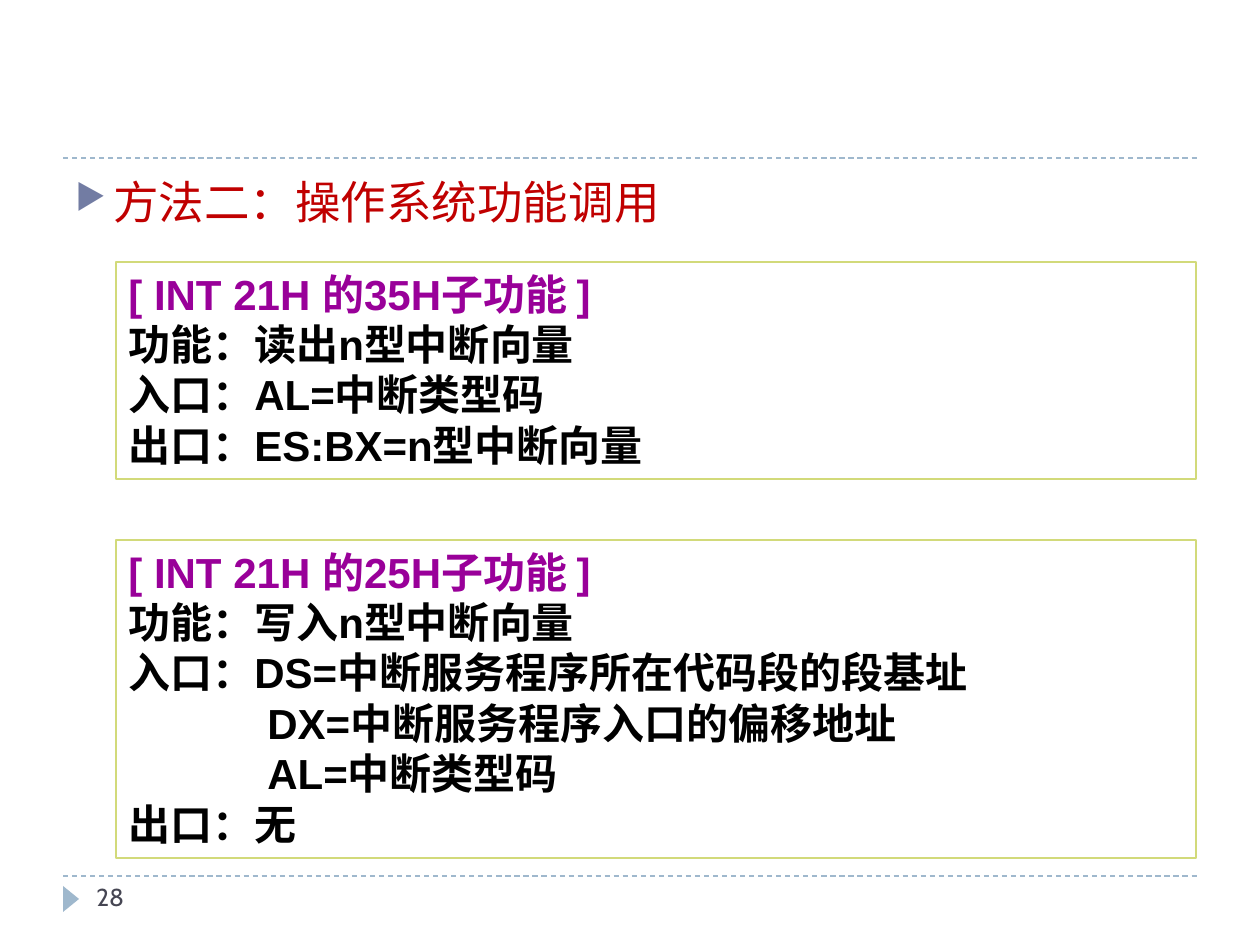
from typing import NamedTuple

from lxml import etree
from pptx import Presentation
from pptx import util as u
from pptx.dml.color import RGBColor
from pptx.enum import dml, shapes, text
from pptx.oxml.ns import qn

SCALE = u.Inches(1) / 126
COLORS = {
    "rule": "9FB8CD",
    "bullet": "727CA3",
    "topic": "C00000",
    "head": "990099",
    "body": "000000",
    "edge": "D2DA7A",
    "paper": "FFFFFF",
    "number": "464653",
}


class Panel(NamedTuple):
    top: int
    height: int
    head: str
    lines: list[tuple[str, int]]


PANELS = [
    Panel(262, 217, "[ INT 21H 的35H子功能 ]", [
        ("功能：读出n型中断向量", 0),
        ("入口：AL=中断类型码", 0),
        ("出口：ES:BX=n型中断向量", 0),
    ]),
    Panel(540, 318, "[ INT 21H 的25H子功能 ]", [
        ("功能：写入n型中断向量", 0),
        ("入口：DS=中断服务程序所在代码段的段基址", 0),
        ("DX=中断服务程序入口的偏移地址", 139),
        ("AL=中断类型码", 139),
        ("出口：无", 0),
    ]),
]
RULES = [158, 876]


def px(n: int) -> u.Emu:
    return u.Emu(round(n * SCALE))


def rgb(name: str) -> RGBColor:
    return RGBColor.from_string(COLORS[name])


def write(frame, line: str, *, size: int, font: str, color: str,
          bold: bool = False, indent: int = 0, first: bool = False):
    para = frame.paragraphs[0] if first else frame.add_paragraph()
    para.alignment = text.PP_ALIGN.LEFT
    if indent:
        para._p.get_or_add_pPr().set("marL", str(px(indent)))
    run = para.add_run()
    run.text = line
    run.font.size = u.Pt(size)
    run.font.name = font
    run.font.bold = bold
    run.font.color.rgb = rgb(color)
    return para


def add_mark(para, hang: int) -> None:
    props = para._p.get_or_add_pPr()
    props.set("indent", str(-px(hang)))
    tint = etree.SubElement(props, qn("a:buClr"))
    etree.SubElement(tint, qn("a:srgbClr"), val=COLORS["bullet"])
    etree.SubElement(props, qn("a:buSzPct"), val="76000")
    etree.SubElement(props, qn("a:buChar"), char="▶")


def add_box(slide, left: int, top: int, width: int, height: int):
    box = slide.shapes.add_textbox(px(left), px(top), px(width), px(height))
    box.text_frame.word_wrap = True
    return box.text_frame


def add_rule(slide, top: int) -> None:
    rule = slide.shapes.add_connector(
        shapes.MSO_CONNECTOR.STRAIGHT, px(63), px(top), px(1197), px(top))
    rule.line.color.rgb = rgb("rule")
    rule.line.width = u.Pt(0.75)
    rule.line.dash_style = dml.MSO_LINE.DASH
    etree.SubElement(rule._element.spPr, qn("a:effectLst"))


def add_panel(slide, panel: Panel) -> None:
    box = slide.shapes.add_shape(
        shapes.MSO_SHAPE.RECTANGLE, px(116), px(panel.top), px(1080), px(panel.height))
    box.shadow.inherit = False
    box.fill.solid()
    box.fill.fore_color.rgb = rgb("paper")
    box.line.color.rgb = rgb("edge")
    box.line.width = u.Pt(1.5)
    frame = box.text_frame
    frame.word_wrap = True
    frame.vertical_anchor = text.MSO_ANCHOR.TOP
    frame.auto_size = text.MSO_AUTO_SIZE.SHAPE_TO_FIT_TEXT
    write(frame, panel.head, size=24, font="Arial", color="head", bold=True, first=True)
    for line, indent in panel.lines:
        write(frame, line, size=24, font="Arial", color="body", bold=True, indent=indent)


def add_arrow(slide) -> None:
    arrow = slide.shapes.add_shape(
        shapes.MSO_SHAPE.ISOSCELES_TRIANGLE, px(58), px(891), px(26), px(16))
    arrow.rotation = 90
    arrow.shadow.inherit = False
    arrow.fill.solid()
    arrow.fill.fore_color.rgb = rgb("rule")
    arrow.line.fill.background()


def main() -> None:
    deck = Presentation()
    deck.slide_width, deck.slide_height = px(1260), px(945)
    slide = deck.slides.add_slide(deck.slide_layouts[6])
    for top in RULES:
        add_rule(slide, top)
    add_arrow(slide)
    topic = write(add_box(slide, 63, 168, 1134, 680), "方法二：操作系统功能调用",
                  size=26, font="Cabin", color="topic", indent=38, first=True)
    add_mark(topic, 38)
    for panel in PANELS:
        add_panel(slide, panel)
    write(add_box(slide, 84, 876, 273, 50), "28",
          size=14, font="Cabin", color="number", first=True)
    deck.save("out.pptx")


if __name__ == "__main__":
    main()
